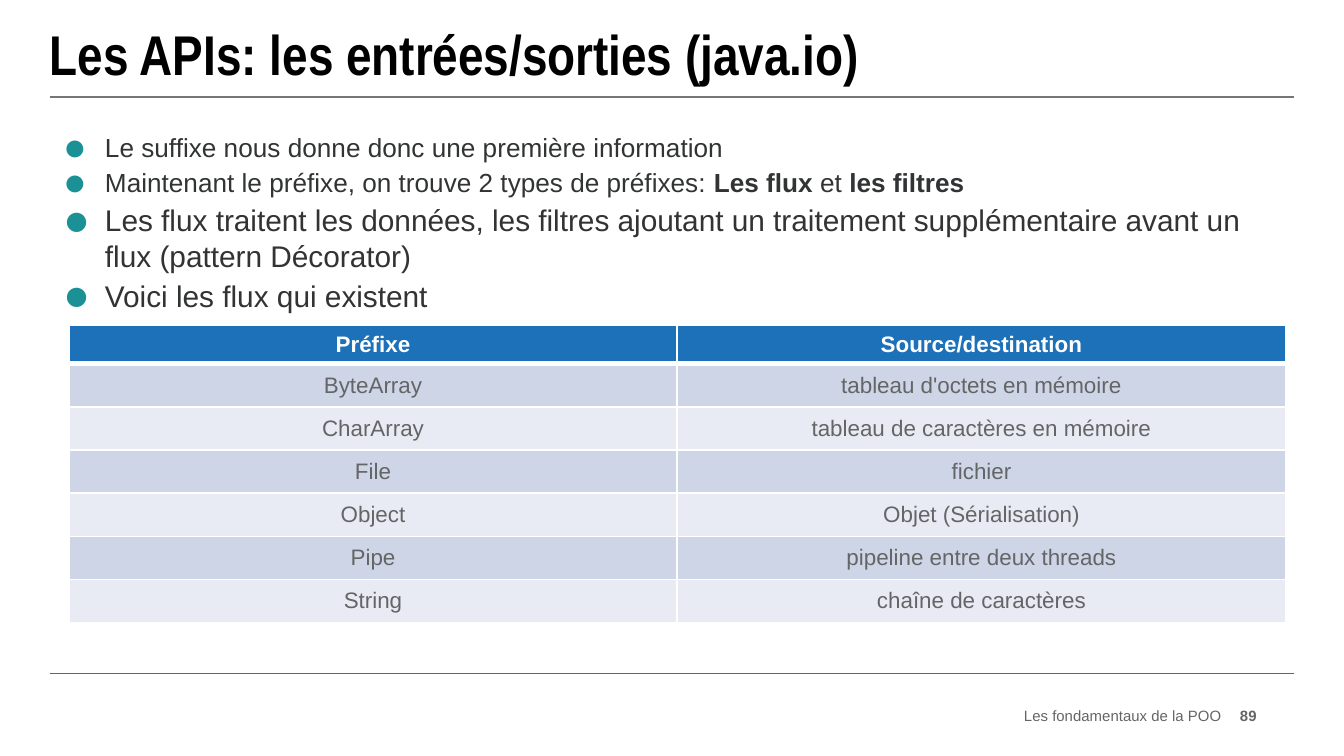
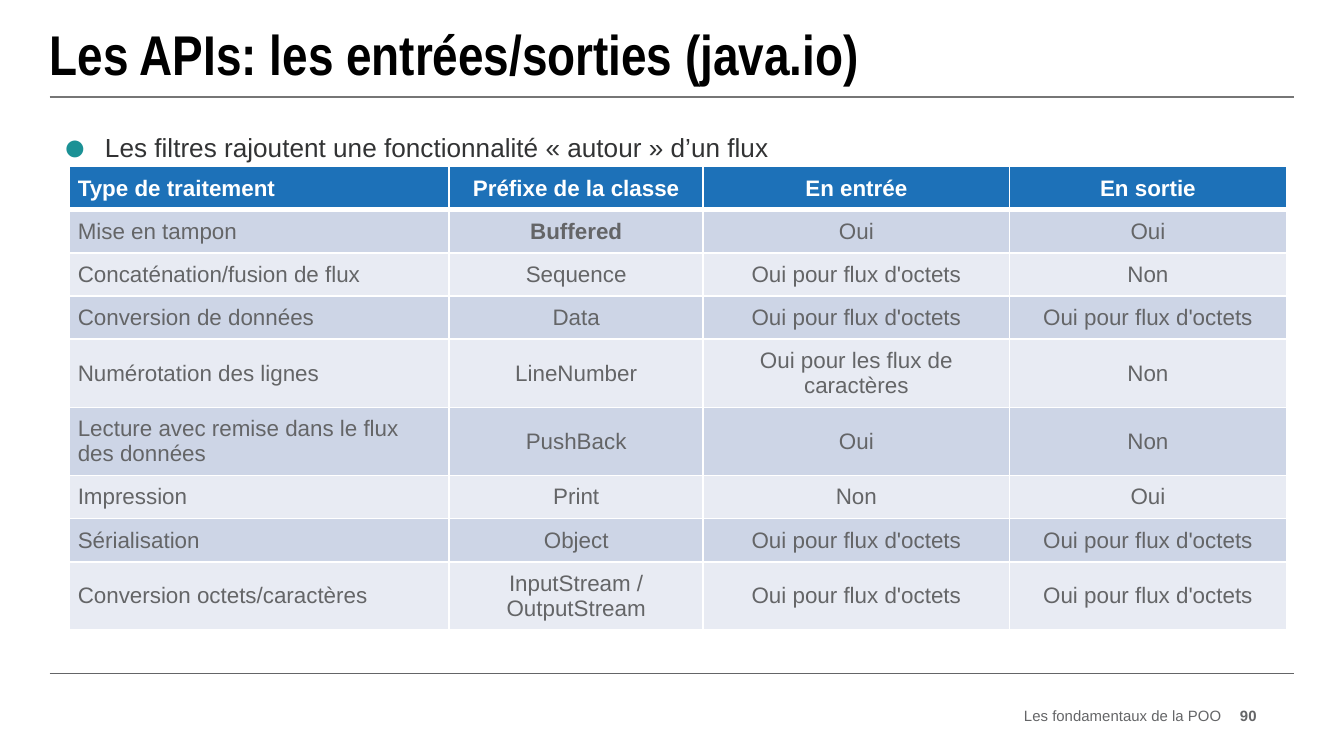
from lxml import etree
from pptx import Presentation
from pptx import util as u
from pptx.dml.color import RGBColor
from pptx.enum import shapes, text
from pptx.oxml import ns

Cm = u.Cm
INK, DARK, GREY, RULE = "000000", "323334", "646567", "767676"
TEAL, BLUE, WHITE = "1B9195", "1D71B8", "FFFFFF"
BANDS = ("CDD5E6", "E8EBF3")
LEFT, RIGHT, WIDE = 0.94, 24.46, 23.5
TITLE = "Les APIs: les entrées/sorties (java.io)"
COURSE = "Les fondamentaux de la POO"
OCTETS = "Oui pour flux d'octets"

LIST_A = [
    (14, [("Le suffixe nous donne donc une première information", False)]),
    (14, [("Maintenant le préfixe, on trouve 2 types de préfixes: ", False),
          ("Les flux ", True), ("et ", False), ("les filtres", True)]),
    (16, [("Les flux traitent les données, les filtres ajoutant un traitement "
           "supplémentaire avant un flux (pattern Décorator)", False)]),
    (16, [("Voici les flux qui existent", False)]),
]
LIST_B = [(14, [("Les filtres rajoutent une fonctionnalité « autour » d’un flux", False)])]

FLOWS = [
    ("Préfixe", "Source/destination"),
    ("ByteArray", "tableau d'octets en mémoire"),
    ("CharArray", "tableau de caractères en mémoire"),
    ("File", "fichier"),
    ("Object", "Objet (Sérialisation)"),
    ("Pipe", "pipeline entre deux threads"),
    ("String", "chaîne de caractères"),
]
FILTERS = [
    ("Type de traitement", "Préfixe de la classe", "En entrée", "En sortie"),
    ("Mise en tampon", "Buffered", "Oui", "Oui"),
    ("Concaténation/fusion de flux", "Sequence", OCTETS, "Non"),
    ("Conversion de données", "Data", OCTETS, OCTETS),
    ("Numérotation des lignes", "LineNumber", "Oui pour les flux de caractères", "Non"),
    ("Lecture avec remise dans le flux des données", "PushBack", "Oui", "Non"),
    ("Impression", "Print", "Non", "Oui"),
    ("Sérialisation", "Object", OCTETS, OCTETS),
    ("Conversion octets/caractères", "InputStream / OutputStream", OCTETS, OCTETS),
]


def paint(target, tint):
    if hasattr(target, "solid"):
        target.solid()
        target = target.fore_color
    target.rgb = RGBColor.from_string(tint)


def node(parent, tag, **attrs):
    return etree.SubElement(parent, ns.qn(tag), **attrs)


def add_run(para, words, size, tint, bold=False, face="Arial"):
    run = para.add_run()
    run.text = words
    run.font.size = u.Pt(size)
    run.font.name = face
    run.font.bold = bold
    paint(run.font.color, tint)


def place(shape, left, top, width, height):
    shape.left, shape.top = Cm(left), Cm(top)
    shape.width, shape.height = Cm(width), Cm(height)


def trim(frame):
    frame.margin_left = frame.margin_right = 0
    frame.margin_top = frame.margin_bottom = 0
    frame.vertical_anchor = text.MSO_ANCHOR.MIDDLE
    frame.word_wrap = True
    frame.auto_size = text.MSO_AUTO_SIZE.NONE


def add_rule(slide, top, tint):
    rule = slide.shapes.add_connector(
        shapes.MSO_CONNECTOR.STRAIGHT, Cm(LEFT), Cm(top), Cm(RIGHT), Cm(top))
    rule.line.width = u.Pt(1)
    paint(rule.line.color, tint)
    node(rule._element.spPr, "a:effectLst")


def add_note(slide, left, width, words, bold=False):
    box = slide.shapes.add_textbox(Cm(left), Cm(13.34), Cm(width), Cm(0.38))
    trim(box.text_frame)
    para = box.text_frame.paragraphs[0]
    para.alignment = text.PP_ALIGN.RIGHT
    add_run(para, words, 8, GREY, bold)


def set_title(slide):
    title = slide.shapes.title
    place(title, LEFT, 0.23, WIDE, 1.55)
    trim(title.text_frame)
    para = title.text_frame.paragraphs[0]
    para.alignment = text.PP_ALIGN.LEFT
    add_run(para, TITLE, 30, INK, True, "Arial Narrow")


def set_list(slide, items):
    body = slide.placeholders[1]
    place(body, LEFT, 2.36, WIDE, 9.96)
    frame = body.text_frame
    frame.auto_size = text.MSO_AUTO_SIZE.NONE
    for i, (size, runs) in enumerate(items):
        para = frame.add_paragraph() if i else frame.paragraphs[0]
        para.space_before = u.Pt(2)
        add_dot(para)
        for words, bold in runs:
            add_run(para, words, size, DARK, bold)


def add_dot(para):
    props = para._p.get_or_add_pPr()
    props.set("marL", str(Cm(0.79)))
    props.set("indent", str(-Cm(0.79)))
    node(node(props, "a:buClr"), "a:srgbClr", val=TEAL)
    node(props, "a:buSzPct", val="150000")
    node(props, "a:buFont", typeface="Arial")
    node(props, "a:buChar", char="●")


def add_edge(cell, side, width):
    edge = node(cell._tc.get_or_add_tcPr(), "a:ln" + side, w=str(u.Pt(width)))
    node(node(edge, "a:solidFill"), "a:srgbClr", val=WHITE)


def fill_cell(cell, words, row, bold, align, pad):
    for side in "LRTB":
        thick = (row, side) in ((0, "B"), (1, "T"))
        add_edge(cell, side, 3 if thick else 1)
    paint(cell.fill, BANDS[(row - 1) % 2] if row else BLUE)
    cell.vertical_anchor = text.MSO_ANCHOR.MIDDLE
    if pad:
        cell.margin_left = cell.margin_right = Cm(0.17)
        cell.margin_top = cell.margin_bottom = Cm(0.17)
    para = cell.text_frame.paragraphs[0]
    para.alignment = align
    add_run(para, words, 12, GREY if row else WHITE, bold)


def add_grid(slide, top, height, data, cols, rows, first, tight=False):
    frame = slide.shapes.add_table(
        len(data), len(cols), Cm(1.3), Cm(top), Cm(sum(cols)), Cm(height))
    grid = frame.table
    grid.horz_banding = False
    for col, width in zip(grid.columns, cols):
        col.width = Cm(width)
    for row, tall in zip(grid.rows, rows):
        row.height = Cm(tall)
    for r, line in enumerate(data):
        for c, words in enumerate(line):
            align = text.PP_ALIGN.CENTER if c else first
            bold = r == 0 or words == "Buffered"
            fill_cell(grid.cell(r, c), words, r, bold, align, r or not tight)
    frame.height = Cm(height)


def add_page(deck, number, items):
    slide = deck.slides.add_slide(deck.slide_layouts[1])
    add_rule(slide, 12.73, GREY)
    add_rule(slide, 1.83, RULE)
    set_title(slide)
    set_list(slide, items)
    add_note(slide, 17.5, 5.59, COURSE)
    add_note(slide, 23.24, 0.51, str(number), True)
    return slide


def main():
    deck = Presentation()
    deck.slide_width, deck.slide_height = Cm(25.4), Cm(14.29)
    flows = add_page(deck, 89, LIST_A)
    add_grid(flows, 6.15, 6.05, FLOWS, [11.5] * 2, [0.48] + [0.56] * 6,
             text.PP_ALIGN.CENTER, tight=True)
    filters = add_page(deck, 90, LIST_B)
    low, high = 0.69, 1.09
    add_grid(filters, 3.15, 9.42, FILTERS, [7.19, 4.8, 5.79, 5.23],
             [low] * 4 + [high] * 2 + [low] * 2 + [high], text.PP_ALIGN.LEFT)
    deck.save("out.pptx")


if __name__ == "__main__":
    main()
